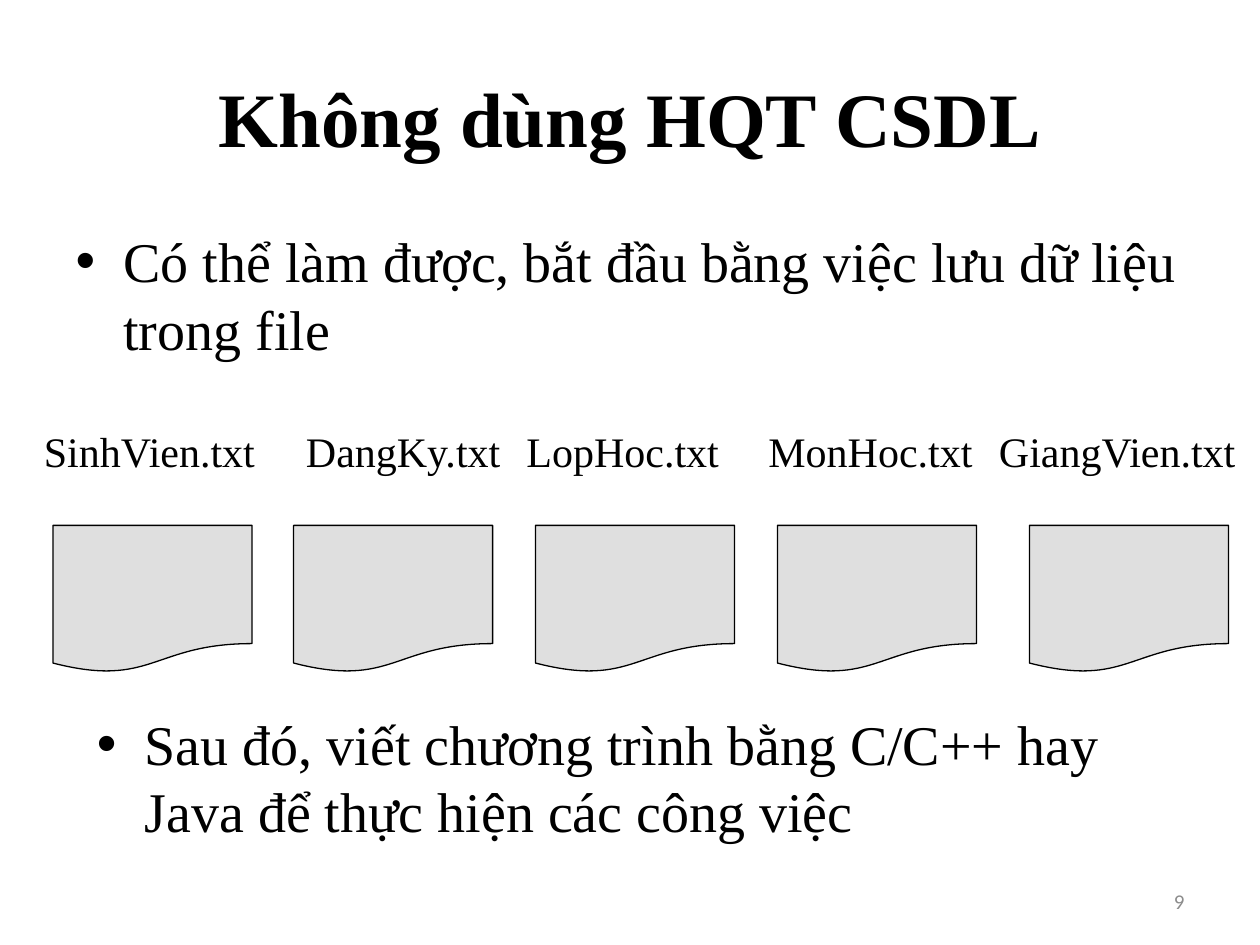
from pptx import Presentation
from pptx.dml.color import RGBColor
from pptx.enum.shapes import MSO_SHAPE
from pptx.enum.text import MSO_ANCHOR, MSO_AUTO_SIZE, PP_ALIGN
from pptx.oxml.ns import qn
from pptx.util import Inches, Pt
from lxml import etree

# Content
TITLE = "Không dùng HQT CSDL"
FIRST = "Có thể làm được, bắt đầu bằng việc lưu dữ liệu trong file"
THEN = "Sau đó, viết chương trình bằng C/C++ hay Java để thực hiện các công việc"
NUMBER = "9"
# File name, label left and width, icon left
FILES = [
    ("SinhVien.txt", 0.25, 2.08, 0.42),
    ("DangKy.txt", 2.33, 1.83, 2.33),
    ("LopHoc.txt", 4.08, 1.75, 4.25),
    ("MonHoc.txt", 6.0, 1.92, 6.17),
    ("GiangVien.txt", 7.83, 2.17, 8.17),
]
COLORS = {"ink": "000000", "file": "C0C0C0", "number": "8C8C8C"}
SERIF = "Times New Roman"


def color(name):
    return RGBColor.from_string(COLORS[name])


def write(text, box, holder=None, size=32, font=SERIF, ink="ink", bold=False,
          align=PP_ALIGN.LEFT, anchor=MSO_ANCHOR.TOP, bullet=False):
    left, top, width, height = (Inches(v) for v in box)
    if holder is None:
        holder = slide.shapes.add_textbox(left, top, width, height)
    holder.left, holder.top, holder.width, holder.height = left, top, width, height
    frame = holder.text_frame
    frame.word_wrap = True
    frame.auto_size = MSO_AUTO_SIZE.NONE
    frame.vertical_anchor = anchor
    para = frame.paragraphs[0]
    para.text = text
    para.alignment = align
    para.space_before = Pt(0)
    if bullet:
        props = para._p.get_or_add_pPr()
        props.set("marL", str(Inches(0.38)))
        props.set("indent", str(-Inches(0.38)))
        etree.SubElement(props, qn("a:buFont"), typeface="Arial")
        etree.SubElement(props, qn("a:buChar"), char="•")
    style = para.runs[0].font
    style.name, style.size, style.bold = font, Pt(size), bold
    style.color.rgb = color(ink)


def draw_file(left):
    icon = slide.shapes.add_shape(MSO_SHAPE.FLOWCHART_DOCUMENT, Inches(left),
                                  Inches(4.17), Inches(1.58), Inches(1.17))
    icon.shadow.inherit = False
    icon.fill.solid()
    icon.fill.fore_color.rgb = color("file")
    tone = icon._element.spPr.find(qn("a:solidFill"))[0]
    etree.SubElement(tone, qn("a:alpha"), val="50000")
    icon.line.color.rgb = color("ink")
    icon.line.width = Pt(0.75)


deck = Presentation()
deck.slide_width, deck.slide_height = Inches(10), Inches(7.5)
slide = deck.slides.add_slide(deck.slide_layouts[1])

# Title and first point
write(TITLE, (0.5, 0.3, 9, 1.25), slide.shapes.title, size=44, bold=True,
      align=PP_ALIGN.CENTER, anchor=MSO_ANCHOR.MIDDLE)
write(FIRST, (0.5, 1.75, 9, 1.33), slide.placeholders[1], bullet=True)

# Row of files
for name, left, width, place in FILES:
    draw_file(place)
    write(name, (left, 3.33, width, 0.58), size=24)

# Second point and slide number
write(THEN, (0.67, 5.58, 9, 1.33), bullet=True)
write(NUMBER, (7.17, 6.95, 2.33, 0.4), size=12, font="Calibri", ink="number",
      align=PP_ALIGN.RIGHT, anchor=MSO_ANCHOR.MIDDLE)

deck.save("out.pptx")
